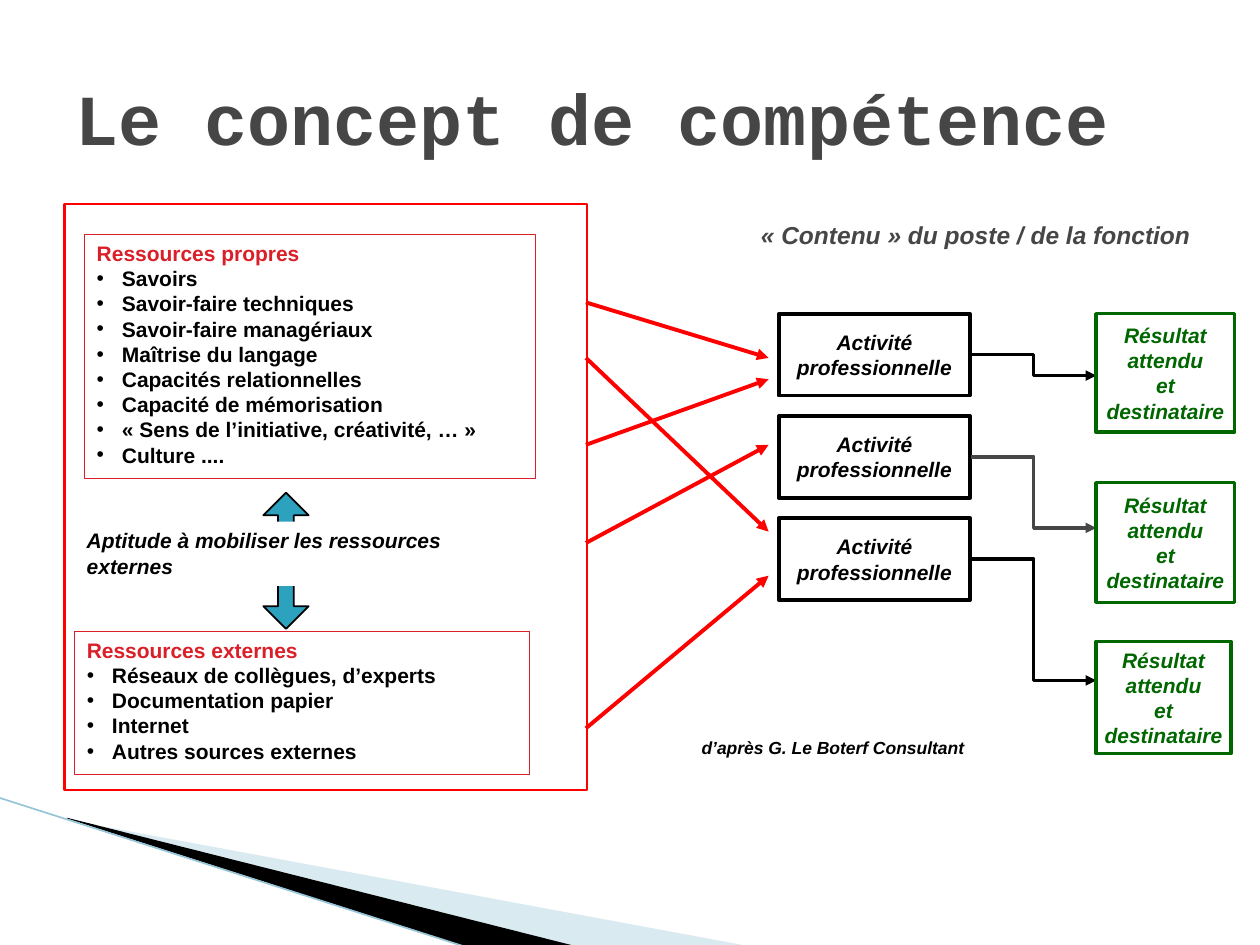
from dataclasses import dataclass

from lxml.etree import SubElement
from pptx import Presentation
from pptx.dml.color import RGBColor
from pptx.enum.shapes import MSO_CONNECTOR as Conn, MSO_SHAPE as Shape
from pptx.enum.text import MSO_ANCHOR as Anchor, PP_ALIGN as Align
from pptx.oxml.ns import qn
from pptx.util import Pt


@dataclass(frozen=True)
class Theme:
    black: str = "000000"
    white: str = "FFFFFF"
    gray: str = "464646"
    red: str = "FF0000"
    crimson: str = "DA1F28"
    green: str = "006600"
    teal: str = "2DA2BF"
    pale: str = "A0CBDC"
    edge: str = "97C5D8"
    font: str = "Arial"
    title_font: str = "Courier New"
    title_size: float = 41
    heading_size: float = 14
    body_size: float = 12
    credit_size: float = 10


T = Theme()


def rgb(color):
    return RGBColor.from_string(color)


def style(sp, fill=None, line=None, width=1):
    sp.shadow.inherit = False
    if fill:
        sp.fill.solid()
        sp.fill.fore_color.rgb = rgb(fill)
    else:
        sp.fill.background()
    if line:
        sp.line.color.rgb = rgb(line)
        sp.line.width = Pt(width)
    else:
        sp.line.fill.background()


def add_box(s, box, kind=Shape.RECTANGLE, **look):
    sp = s.shapes.add_shape(kind, *map(Pt, box))
    style(sp, **look)
    return sp


def set_frame(sp, anchor=Anchor.TOP, wrap=True):
    tf = sp.text_frame
    tf.word_wrap = wrap
    tf.vertical_anchor = anchor
    return tf


def add_line(tf, index, text, color, size=T.body_size, font=T.font,
             italic=True, align=Align.LEFT, bullet=False):
    p = tf.add_paragraph() if index else tf.paragraphs[0]
    p.alignment = align
    if bullet:
        pPr = p._p.get_or_add_pPr()
        pPr.set("marL", str(Pt(14.4)))
        pPr.set("indent", str(-Pt(14.4)))
        SubElement(pPr, qn("a:buFont")).set("typeface", T.font)
        SubElement(pPr, qn("a:buChar")).set("char", "•")
    r = p.add_run()
    r.text = text
    r.font.name, r.font.size = font, Pt(size)
    r.font.bold, r.font.italic = True, italic
    r.font.color.rgb = rgb(color)


def add_label(s, box, text, color, anchor=Anchor.TOP, wrap=True, **look):
    sp = s.shapes.add_textbox(*map(Pt, box))
    add_line(set_frame(sp, anchor, wrap), 0, text, color, **look)


def add_resources(s, box, heading, items):
    tf = set_frame(add_box(s, box, line=T.crimson, width=0.75))
    add_line(tf, 0, heading, T.crimson, italic=False)
    for i, item in enumerate(items, 1):
        add_line(tf, i, item, T.black, italic=False, bullet=True)


def add_step(s, box, lines, color):
    sp = add_box(s, box, line=color, width=2)
    tf = set_frame(sp, Anchor.MIDDLE, wrap=False)
    for i, text in enumerate(lines):
        add_line(tf, i, text, color, align=Align.CENTER)


def add_link(s, start, end, color, width, kind=Conn.STRAIGHT, arrow=True):
    c = s.shapes.add_connector(kind, *map(Pt, (*start, *end)))
    c.line.color.rgb = rgb(color)
    c.line.width = Pt(width)
    if arrow:
        SubElement(c.line._get_or_add_ln(), qn("a:tailEnd")).set("type", "triangle")
    SubElement(c._element.spPr, qn("a:effectLst"))


def add_wedge(s, points, color, alpha=100):
    start, *rest = [(Pt(x), Pt(y)) for x, y in points]
    builder = s.shapes.build_freeform(*start, scale=1.0)
    builder.add_line_segments(rest, close=True)
    sp = builder.convert_to_shape()
    style(sp, fill=color)
    if alpha < 100:
        clr = sp._element.spPr.find(qn("a:solidFill"))[0]
        SubElement(clr, qn("a:alpha")).set("val", str(alpha * 1000))


def add_decor(s):
    add_wedge(s, [(39.6, 468.7), (428.4, 540.7), (328.3, 540.7), (39.6, 468)],
              T.pale, alpha=40)
    add_wedge(s, [(38.2, 467.3), (329, 540.7), (267.8, 541.4), (38.9, 468)], T.black)
    add_link(s, (-0.7, 455.8), (267.1, 541.4), T.edge, 0.95, arrow=False)


def add_resource_side(s):
    add_box(s, (36.7, 116.6, 298.8, 334.8), line=T.red, width=1.5)
    for y1, y2 in [(416.2, 329), (172.8, 204.5), (310.3, 254.2),
                   (204.5, 303.8), (254.2, 216.7)]:
        add_link(s, (334.8, y1), (439.2, y2), T.red, 2.25)
    add_resources(s, (48.2, 133.9, 257.8, 139.7), "Ressources propres", [
        "Savoirs", "Savoir-faire techniques", "Savoir-faire managériaux",
        "Maîtrise du langage", "Capacités relationnelles",
        "Capacité de mémorisation",
        "« Sens de l’initiative, créativité, … »", "Culture ...."])
    arrow = add_box(s, (150.5, 281.5, 25.9, 77.8), Shape.UP_DOWN_ARROW,
                    fill=T.teal, line=T.black)
    arrow.adjustments[0], arrow.adjustments[1] = 0.42, 0.35
    aptitude = add_box(s, (42.5, 298.1, 249.8, 36.7), fill=T.white)
    add_line(set_frame(aptitude), 0,
             "Aptitude à mobiliser les ressources externes", T.black)
    add_resources(s, (42.5, 360.7, 259.9, 82.1), "Ressources externes", [
        "Réseaux de collègues, d’experts", "Documentation papier",
        "Internet", "Autres sources externes"])


def add_activity_side(s):
    top, pitch, height = 179.3, 58.4, 46.8
    results = [(179.3, 79.2, 67.7, 214.6, T.black),
               (275.8, 79.2, 68.4, 301.7, T.gray),
               (366.5, 77, 64.1, 388.8, T.black)]
    for i, (y, w, h, link_y, color) in enumerate(results):
        activity_y = top + i * pitch
        add_step(s, (445, activity_y, 109.4, height),
                 ["Activité", "professionnelle"], T.black)
        add_link(s, (555, activity_y + height / 2), (626.4, link_y),
                 color, 2, Conn.ELBOW)
        add_step(s, (626.4, y, w, h),
                 ["Résultat", "attendu", "et", "destinataire"], T.green)


def main():
    prs = Presentation()
    prs.slide_width, prs.slide_height = Pt(720), Pt(540)
    s = prs.slides.add_slide(prs.slide_layouts[6])
    add_decor(s)
    add_label(s, (36, 21.6, 648, 90), "Le concept de compétence", T.gray,
              anchor=Anchor.MIDDLE, size=T.title_size, font=T.title_font,
              italic=False)
    add_resource_side(s)
    add_activity_side(s)
    add_label(s, (427.7, 122.4, 260.6, 24.5),
              "« Contenu » du poste / de la fonction", T.gray,
              wrap=False, size=T.heading_size)
    add_label(s, (393.8, 417.6, 186.5, 19.4),
              "d’après G. Le Boterf Consultant", T.black, size=T.credit_size)
    prs.save("out.pptx")


if __name__ == "__main__":
    main()
